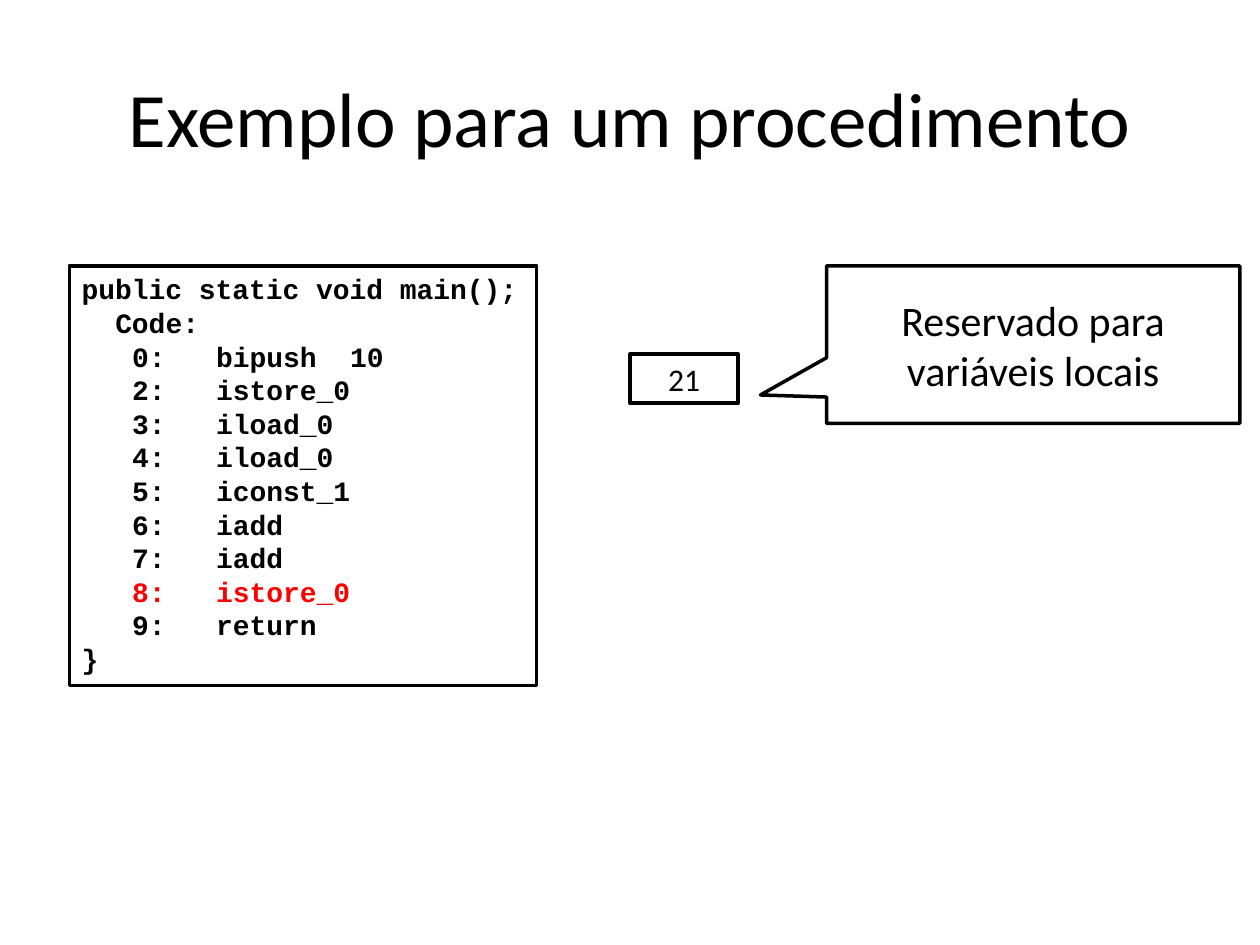
from pptx import Presentation
from pptx import util as u
from pptx.dml.color import RGBColor
from pptx.enum import shapes, text

BLACK, WHITE, RED = "000000", "FFFFFF", "FF0000"
CODE_CHAR = u.Pt(9.6)
INSTRUCTIONS = ["0:\tbipush  10", "2:\tistore_0", "3:\tiload_0", "4:\tiload_0",
                "5:\ticonst_1", "6:\tiadd", "7:\tiadd", "8:\tistore_0", "9:\treturn"]
CURRENT = "8:\tistore_0"


def color(value):
    return RGBColor.from_string(value)


class Painter:
    label_font = {"name": "Calibri", "bold": False}
    code_font = {"name": "Courier New", "bold": True, "size": u.Pt(16)}
    label_frame = {"word_wrap": True, "vertical_anchor": text.MSO_ANCHOR.MIDDLE}
    code_frame = {"word_wrap": False, "vertical_anchor": text.MSO_ANCHOR.TOP,
                  "auto_size": text.MSO_AUTO_SIZE.SHAPE_TO_FIT_TEXT}

    def __init__(self, page):
        self.page = page

    def apply(self, target, values):
        for name, value in values.items():
            setattr(target, name, value)

    def add_span(self, para, words, font, ink=BLACK):
        span = para.add_run()
        span.text = words
        self.apply(span.font, font)
        span.font.color.rgb = color(ink)

    def label(self, box, words, size):
        self.apply(box.text_frame, self.label_frame)
        para = box.text_frame.paragraphs[0]
        para.alignment = text.PP_ALIGN.CENTER
        self.add_span(para, words, {**self.label_font, "size": u.Pt(size)})

    def title(self, words, place):
        box = self.page.shapes.add_textbox(*map(u.Inches, place))
        self.label(box, words, 44)

    def shape(self, kind, place):
        box = self.page.shapes.add_shape(kind, *map(u.Inches, place))
        box.shadow.inherit = False
        box.fill.solid()
        box.fill.fore_color.rgb = color(WHITE)
        box.line.color.rgb = color(BLACK)
        box.line.width = u.Pt(2)
        return box

    def cell(self, words, place):
        self.label(self.shape(shapes.MSO_SHAPE.RECTANGLE, place), words, 18)

    def callout(self, words, place, tip):
        box = self.shape(shapes.MSO_SHAPE.RECTANGULAR_CALLOUT, place)
        box.adjustments[0], box.adjustments[1] = tip
        self.label(box, words, 24)

    def code(self, lines, place):
        frame = self.shape(shapes.MSO_SHAPE.RECTANGLE, place).text_frame
        self.apply(frame, self.code_frame)
        for number, (words, margin, hanging, ink) in enumerate(lines):
            para = frame.add_paragraph() if number else frame.paragraphs[0]
            para.alignment = text.PP_ALIGN.LEFT
            layout = para._p.get_or_add_pPr()
            layout.set("marL", str(margin * CODE_CHAR))
            layout.set("indent", str(-hanging * CODE_CHAR))
            self.add_span(para, words, self.code_font, ink)


def main():
    deck = Presentation()
    deck.slide_width, deck.slide_height = u.Inches(10), u.Inches(7.5)
    painter = Painter(deck.slides.add_slide(deck.slide_layouts[6]))

    painter.title("Exemplo para um procedimento", (0.5, 0.3, 9, 1.25))
    steps = [(step, 8, 5, RED if step == CURRENT else BLACK) for step in INSTRUCTIONS]
    painter.code([("public static void main();", 0, 0, BLACK), ("Code:", 2, 0, BLACK),
                  *steps, ("}", 0, 0, BLACK)], (0.55, 2.11, 3.71, 3.33))
    painter.cell("21", (5, 2.81, 0.86, 0.39))
    painter.callout("Reservado para variáveis locais", (6.56, 2.11, 3.28, 1.25), (-0.66, 0.32))
    deck.save("out.pptx")


if __name__ == "__main__":
    main()
